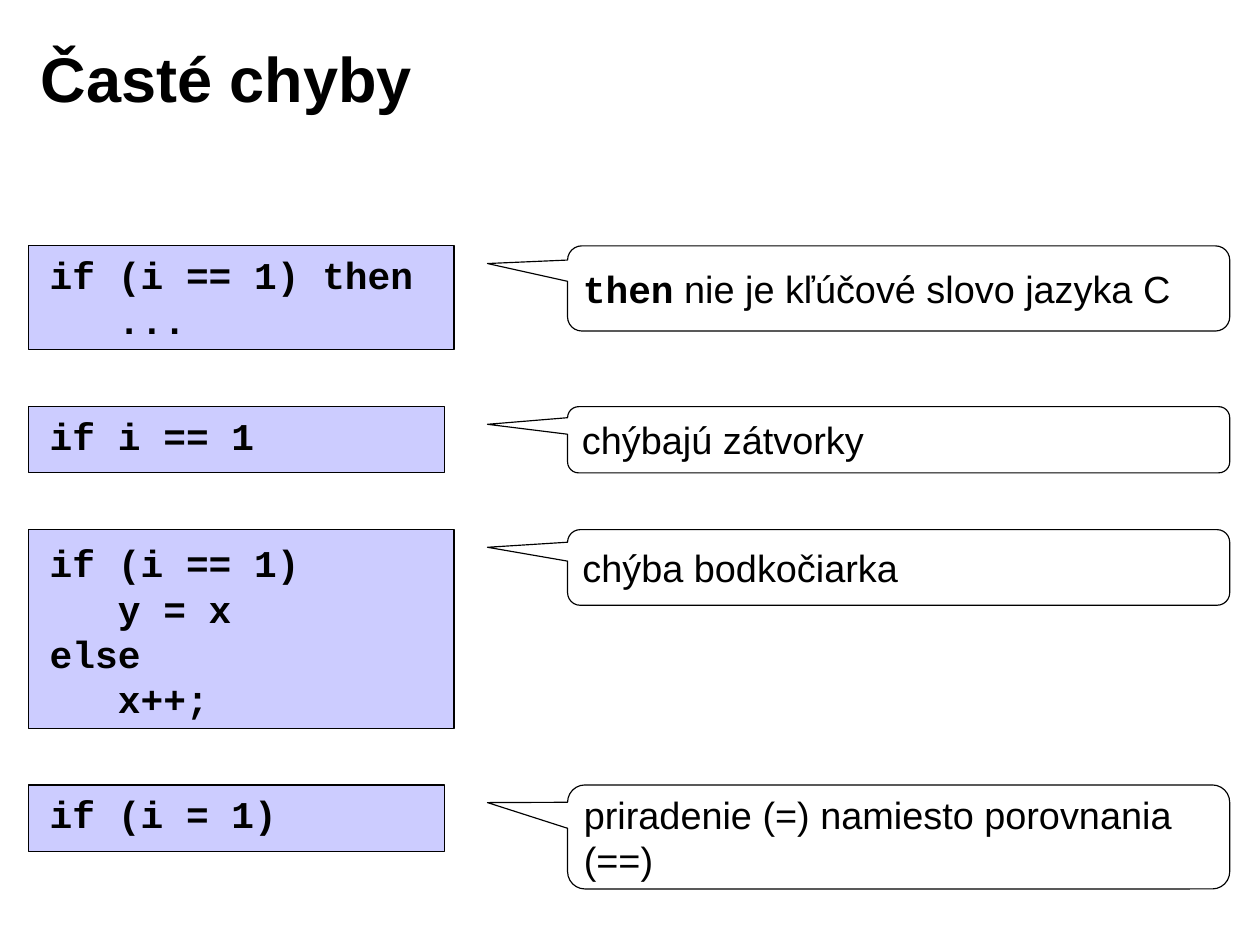
from dataclasses import dataclass

from pptx import Presentation
from pptx.dml.color import RGBColor
from pptx.enum.shapes import MSO_SHAPE
from pptx.enum.text import MSO_ANCHOR, MSO_AUTO_SIZE, PP_ALIGN
from pptx.shapes.autoshape import Shape
from pptx.slide import Slide
from pptx.text.text import TextFrame, _Run
from pptx.util import Inches, Pt


@dataclass(frozen=True)
class Theme:
    ink: RGBColor = RGBColor(0x00, 0x00, 0x00)
    paper: RGBColor = RGBColor(0xFF, 0xFF, 0xFF)
    code_fill: RGBColor = RGBColor(0xCC, 0xCC, 0xFF)
    sans: str = "Arial"
    mono: str = "Courier New"
    title_size: int = 40
    body_size: int = 24
    line_width: float = 0.75


@dataclass(frozen=True)
class Mistake:
    code: str
    note: str
    code_cols: int
    code_rows: int
    note_rows: int
    keyword: str = ""
    text_drop: float = 0


THEME = Theme()
UNIT = Inches(1) // 12
CODE_COL, CODE_TEXT_COL = 3, 4.08
NOTE_COL, NOTE_COLS = 60, 70
FIRST_ROW, GAP_ROWS = 26, 6
TIP_COL, TIP_ROW = -8.47, 1.87
CHAR_COLS, INSET_COLS = 2.4, 2.6
LINE_ROWS, INSET_ROWS = 4.8, 1.2

MISTAKES = [
    Mistake("if (i == 1) then\n   ...", " nie je kľúčové slovo jazyka C", 45, 11, 9, keyword="then"),
    Mistake("if i == 1", "chýbajú zátvorky", 44, 7, 7),
    Mistake("if (i == 1)\n   y = x\nelse\n   x++;", "chýba bodkočiarka", 45, 21, 8, text_drop=0.5),
    Mistake("if (i = 1)", "priradenie (=) namiesto porovnania (==)", 44, 7, 11),
]


def grid(*cells: float) -> list[int]:
    return [round(cell * UNIT) for cell in cells]


def style_run(r: _Run, font: str, size: int, bold: bool) -> None:
    r.font.name = font
    r.font.size = Pt(size)
    r.font.bold = bold
    r.font.color.rgb = THEME.ink


def style_text(tf: TextFrame, font: str, size: int, bold: bool) -> None:
    for p in tf.paragraphs:
        p.alignment = PP_ALIGN.LEFT
        for r in p.runs:
            style_run(r, font, size, bold)


def style_shape(sp: Shape, fill: RGBColor) -> None:
    sp.shadow.inherit = False
    sp.fill.solid()
    sp.fill.fore_color.rgb = fill
    sp.line.color.rgb = THEME.ink
    sp.line.width = Pt(THEME.line_width)


def add_title(s: Slide, text: str) -> None:
    tf = s.shapes.add_textbox(*grid(3, 2, 107, 12.25)).text_frame
    tf.word_wrap = True
    tf.vertical_anchor = MSO_ANCHOR.MIDDLE
    tf.margin_left = tf.margin_right = Inches(0.11)
    tf.margin_top = tf.margin_bottom = Inches(0.06)
    tf.text = text
    style_text(tf, THEME.sans, THEME.title_size, True)


def add_code(s: Slide, mistake: Mistake, row: float) -> None:
    group = s.shapes.add_group_shape()
    sp = group.shapes.add_shape(
        MSO_SHAPE.RECTANGLE, *grid(CODE_COL, row, mistake.code_cols, mistake.code_rows)
    )
    style_shape(sp, THEME.code_fill)
    lines = mistake.code.split("\n")
    cols = max(map(len, lines)) * CHAR_COLS + INSET_COLS
    rows = len(lines) * LINE_ROWS + INSET_ROWS
    tf = group.shapes.add_textbox(
        *grid(CODE_TEXT_COL, row + mistake.text_drop, cols, rows)
    ).text_frame
    tf.word_wrap = False
    tf.auto_size = MSO_AUTO_SIZE.SHAPE_TO_FIT_TEXT
    tf.text = mistake.code
    style_text(tf, THEME.mono, THEME.body_size, True)


def add_note(s: Slide, mistake: Mistake, row: float) -> None:
    sp = s.shapes.add_shape(
        MSO_SHAPE.ROUNDED_RECTANGULAR_CALLOUT,
        *grid(NOTE_COL, row, NOTE_COLS, mistake.note_rows),
    )
    style_shape(sp, THEME.paper)
    sp.adjustments[0] = TIP_COL / NOTE_COLS - 0.5
    sp.adjustments[1] = TIP_ROW / mistake.note_rows - 0.5
    tf = sp.text_frame
    tf.word_wrap = True
    tf.vertical_anchor = MSO_ANCHOR.MIDDLE
    tf.text = mistake.keyword or mistake.note
    style_text(tf, THEME.sans, THEME.body_size, False)
    if mistake.keyword:
        p = tf.paragraphs[0]
        style_run(p.runs[0], THEME.mono, THEME.body_size, True)
        r = p.add_run()
        r.text = mistake.note
        style_run(r, THEME.sans, THEME.body_size, False)


def main() -> None:
    prs = Presentation()
    prs.slide_width, prs.slide_height = Inches(11.1), Inches(8.3)
    s = prs.slides.add_slide(prs.slide_layouts[6])
    add_title(s, "Časté chyby")
    row = FIRST_ROW
    for mistake in MISTAKES:
        add_code(s, mistake, row)
        add_note(s, mistake, row)
        row += mistake.code_rows + GAP_ROWS
    prs.save("out.pptx")


if __name__ == "__main__":
    main()
